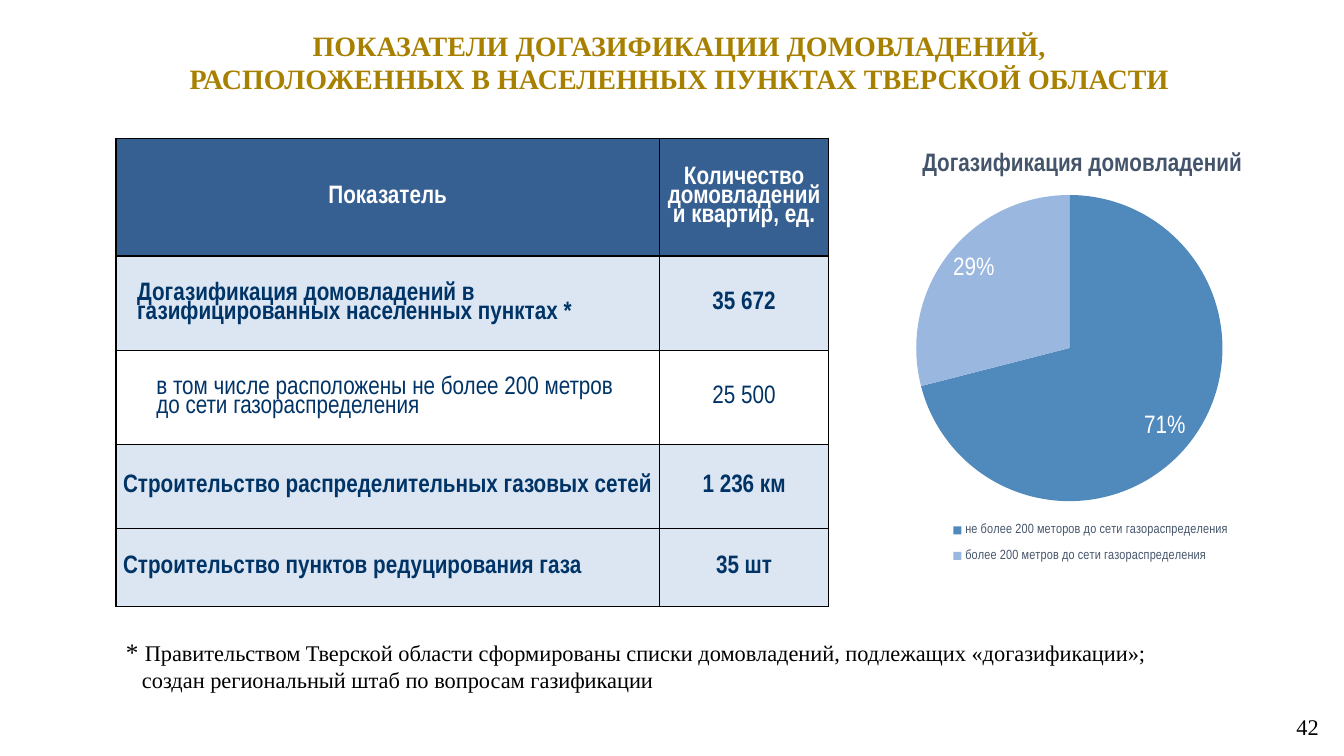
from lxml import etree
from pptx import Presentation
from pptx import util as u
from pptx.chart.data import CategoryChartData
from pptx.dml.color import RGBColor
from pptx.enum import chart as charts, text
from pptx.oxml import parse_xml
from pptx.oxml.ns import nsdecls, qn

COLORS = {
    "gold": "A88000", "black": "000000", "white": "FFFFFF", "navy": "003366",
    "header": "376092", "band": "DCE6F2", "slate": "44546A",
    "near": "5089BC", "far": "9AB7E0",
}
SERIF, NARROW = "Times New Roman", "Arial Narrow"
LEFT, CENTER = text.PP_ALIGN.LEFT, text.PP_ALIGN.CENTER


class SlideBuilder:
    """Builds one slide; every area is (left, top, width, height) in percent of it."""

    def __init__(self, deck):
        self.deck = deck
        self.slide = deck.slides.add_slide(deck.slide_layouts[5])

    def area(self, left, top, width, height):
        wide, high = self.deck.slide_width, self.deck.slide_height
        return [round(share * side / 100) for share, side in
                ((left, wide), (top, high), (width, wide), (height, high))]

    def style(self, font, size, color, bold=False, name=SERIF):
        font.name, font.size, font.bold = name, u.Pt(size), bold
        font.color.rgb = RGBColor.from_string(COLORS[color])

    def fill_text(self, frame, lines, size, color, align=LEFT, bold=False,
                  name=SERIF, indent=0, spacing=1.0):
        """Puts each line in its own paragraph, all in one style."""
        for number, line in enumerate(lines):
            para = frame.paragraphs[0] if number == 0 else frame.add_paragraph()
            para.text = line
            para.alignment, para.line_spacing = align, spacing
            para.space_before = u.Pt(0)
            if indent:
                properties = para._p.get_or_add_pPr()
                properties.set("marL", str(u.Inches(indent)))
                properties.set("indent", "0")
            self.style(para.font, size, color, bold, name)

    def title(self, area, lines):
        title = self.slide.shapes.title
        title.left, title.top, title.width, title.height = self.area(*area)
        frame = title.text_frame
        frame.word_wrap = True
        frame.auto_size = text.MSO_AUTO_SIZE.NONE
        frame.vertical_anchor = text.MSO_ANCHOR.MIDDLE
        self.fill_text(frame, lines, 20, "gold", CENTER, bold=True)

    def text_box(self, area, lines, align=LEFT, anchor=text.MSO_ANCHOR.TOP):
        frame = self.slide.shapes.add_textbox(*self.area(*area)).text_frame
        frame.word_wrap = True
        frame.vertical_anchor = anchor
        self.fill_text(frame, lines, 16, "black", align)
        return frame

    def footnote(self, area, mark, first, second):
        frame = self.text_box(area, [mark, second])
        opening, closing = frame.paragraphs
        opening.runs[0].font.size = u.Pt(18)
        opening.add_run().text = first
        closing._p.get_or_add_pPr().set("marL", str(u.Inches(0.16)))

    def border(self, cell):
        properties = cell._tc.get_or_add_tcPr()
        for place, side in enumerate(("lnL", "lnR", "lnT", "lnB")):
            properties.insert(place, parse_xml(
                f'<a:{side} {nsdecls("a")} w="{u.Pt(1)}"><a:solidFill>'
                f'<a:srgbClr val="{COLORS["black"]}"/></a:solidFill></a:{side}>'))

    def table(self, area, columns, rows):
        """Each row is (height, fill, font colour, bold, cells); a cell is (lines, align, indent)."""
        table = self.slide.shapes.add_table(
            len(rows), len(columns), *self.area(*area)).table
        for column, width in zip(table.columns, columns):
            column.width = u.Inches(width)
        for r, (height, fill, color, bold, cells) in enumerate(rows):
            table.rows[r].height = u.Inches(height)
            for c, (lines, align, indent) in enumerate(cells):
                cell = table.cell(r, c)
                cell.fill.solid()
                cell.fill.fore_color.rgb = RGBColor.from_string(COLORS[fill])
                cell.margin_left = cell.margin_right = cell.margin_top = u.Inches(0.01)
                cell.margin_bottom = 0
                cell.vertical_anchor = text.MSO_ANCHOR.MIDDLE
                self.fill_text(cell.text_frame, lines, 18, color, align, bold,
                               NARROW, indent, spacing=0.8)
                self.border(cell)

    def place(self, part, index, inner=False, **shares):
        """Gives a chart part a manual layout in shares of the chart."""
        for old in part.findall(qn("c:layout")):
            part.remove(old)
        layout = parse_xml(f'<c:layout {nsdecls("c")}><c:manualLayout/></c:layout>')
        settings = {"layoutTarget": "inner"} if inner else {}
        settings.update(xMode="edge", yMode="edge", **shares)
        for tag, value in settings.items():
            etree.SubElement(layout[0], qn(f"c:{tag}")).set("val", str(value))
        part.insert(index, layout)

    def pie(self, area, heading, slices):
        """Each slice is (category, value, colour)."""
        data = CategoryChartData()
        data.categories = [category for category, _, _ in slices]
        data.add_series("Series 1", [value for _, value, _ in slices])
        chart = self.slide.shapes.add_chart(
            charts.XL_CHART_TYPE.PIE, *self.area(*area), data).chart
        self.style(chart.font, 18, "black", name="Calibri")
        chart.has_title = True
        self.fill_text(chart.chart_title.text_frame, [heading], 18, "slate",
                       CENTER, bold=True, name=NARROW)
        chart.has_legend = True
        chart.legend.position = charts.XL_LEGEND_POSITION.RIGHT
        chart.legend.include_in_layout = False
        self.style(chart.legend.font, 9.5, "slate", name=NARROW)

        plot = chart.plots[0]
        plot.vary_by_categories = True
        for number, (_, _, color) in enumerate(slices):
            fill = plot.series[0].points[number].format.fill
            fill.solid()
            fill.fore_color.rgb = RGBColor.from_string(COLORS[color])
        plot.has_data_labels = True
        labels = plot.data_labels
        labels.show_percentage, labels.show_value = True, False
        labels.number_format, labels.number_format_is_linked = "0%", False
        labels.position = charts.XL_LABEL_POSITION.INSIDE_END
        self.style(labels.font, 18, "white", name=NARROW)

        plot_area = chart._chartSpace.find(".//" + qn("c:plotArea"))
        self.place(plot_area, 0, inner=True, x=0.11, y=0.15, w=0.79, h=0.62)
        self.place(chart.chart_title._element, 1, x=0.19, y=0.05)
        self.place(chart.legend._element, 1, x=0.2, y=0.79, w=0.7, h=0.13)


def main():
    deck = Presentation()
    deck.slide_width, deck.slide_height = u.Inches(13.33), u.Inches(7.5)
    page = SlideBuilder(deck)
    page.title((5.1, 1.33, 90.85, 13.73), [
        "ПОКАЗАТЕЛИ ДОГАЗИФИКАЦИИ ДОМОВЛАДЕНИЙ,",
        "РАСПОЛОЖЕННЫХ В НАСЕЛЕННЫХ ПУНКТАХ ТВЕРСКОЙ ОБЛАСТИ"])
    page.table((8.63, 18.27, 53.04, 62), (5.39, 1.68), [
        (1.17, "header", "white", True, [
            (["Показатель"], CENTER, 0),
            (["Количество домовладений и квартир, ед."], CENTER, 0)]),
        (0.94, "band", "navy", True, [
            (["Догазификация домовладений в газифицированных населенных пунктах *"],
             LEFT, 0.2),
            (["35 672"], CENTER, 0)]),
        (0.93, "white", "navy", False, [
            (["в том числе расположены не более 200 метров",
              "до сети газораспределения"], LEFT, 0.39),
            (["25 500"], CENTER, 0)]),
        (0.83, "band", "navy", True, [
            (["Строительство распределительных газовых сетей"], CENTER, 0),
            (["1 236 км"], CENTER, 0)]),
        (0.78, "band", "navy", True, [
            (["Строительство пунктов редуцирования газа"], LEFT, 0.06),
            (["35 шт"], CENTER, 0)]),
    ])
    page.pie((61.5, 16, 35.78, 65.33), "Догазификация домовладений", [
        ("не более 200 меторов до сети газораспределения", 71, "near"),
        ("более 200 метров до сети газораспределения", 29, "far")])
    page.footnote(
        (8.63, 83.47, 86.65, 8.93), "* ",
        "Правительством Тверской области сформированы списки домовладений, "
        "подлежащих «догазификации»;",
        "создан региональный штаб по вопросам газификации")
    page.text_box((95.27, 93.47, 4.05, 5.33), ["42"], CENTER, text.MSO_ANCHOR.MIDDLE)
    deck.save("out.pptx")


if __name__ == "__main__":
    main()
